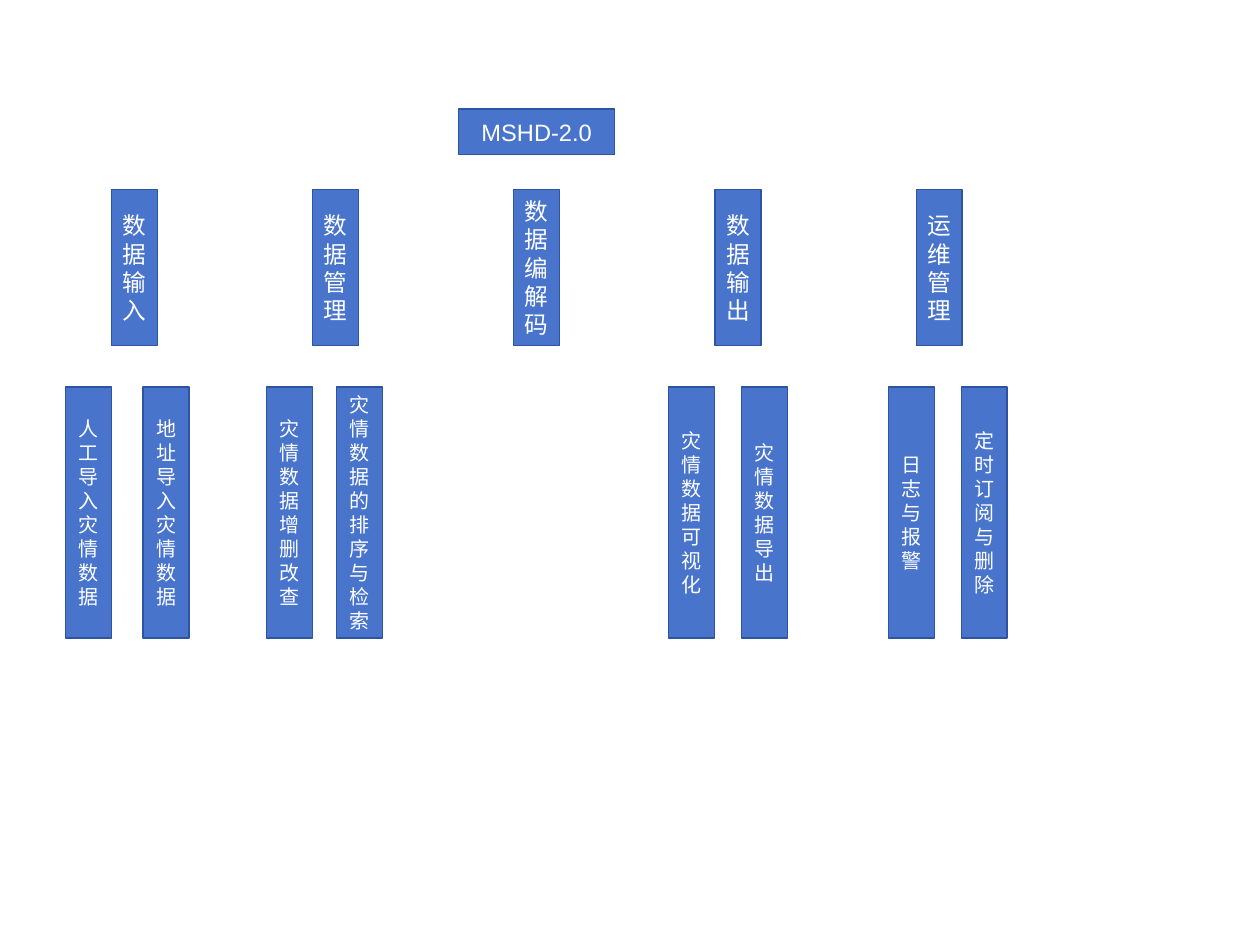
from dataclasses import dataclass

from pptx import Presentation
from pptx.dml.color import RGBColor
from pptx.enum.shapes import MSO_SHAPE
from pptx.enum.text import MSO_ANCHOR, MSO_AUTO_SIZE, PP_ALIGN
from pptx.util import Pt

RECTANGLE = MSO_SHAPE.RECTANGLE
MIDDLE = MSO_ANCHOR.MIDDLE
CENTER = PP_ALIGN.CENTER
NO_AUTOFIT = MSO_AUTO_SIZE.NONE
TITLE_ONLY = 5


@dataclass(frozen=True)
class Theme:
    fill: RGBColor = RGBColor(0x48, 0x74, 0xCB)
    border: RGBColor = RGBColor(0x2E, 0x54, 0xA1)
    text: RGBColor = RGBColor(0xFF, 0xFF, 0xFF)
    font: str = "Arial"
    module_size: float = 18.9
    function_size: float = 16
    border_width: float = 1


THEME = Theme()

# Geometry in points; each row is placed by its centre line
BOX_THICKNESS = 36.7
MODULE_LENGTH, FUNCTION_LENGTH = 124.6, 200.9
SYSTEM_Y, MODULE_Y, FUNCTION_Y = 105.5, 214.2, 410
FIRST_MODULE_X, MODULE_STEP = 107.5, 160.95
SYSTEM_X = FIRST_MODULE_X + 2 * MODULE_STEP

# Each module with its functions and their offsets from the module's centre
MODULES = [
    ("数据输入", [("人工导入灾情数据", -36.6), ("地址导入灾情数据", 25.3)]),
    ("数据管理", [("灾情数据增删改查", -37), ("灾情数据的排序与检索", 19.2)]),
    ("数据编解码", []),
    ("数据输出", [("灾情数据可视化", -37), ("灾情数据导出", 21.3)]),
    ("运维管理", [("日志与报警", -22.3), ("定时订阅与删除", 36)]),
]


def style_box(box, label, size):
    """Fill and outline a box and write its centred label."""
    box.fill.solid()
    box.fill.fore_color.rgb = THEME.fill
    box.line.color.rgb = THEME.border
    box.line.width = Pt(THEME.border_width)

    frame = box.text_frame
    frame.word_wrap = True
    frame.auto_size = NO_AUTOFIT
    frame.vertical_anchor = MIDDLE
    paragraph = frame.paragraphs[0]
    paragraph.alignment = CENTER
    run = paragraph.add_run()
    run.text = label
    run.font.name = THEME.font
    run.font.size = Pt(size)
    run.font.color.rgb = THEME.text


def place_system(slide, label):
    """Turn the title placeholder into the root box."""
    system = slide.shapes.title
    system.left = Pt(SYSTEM_X - MODULE_LENGTH / 2)
    system.top = Pt(SYSTEM_Y - BOX_THICKNESS / 2)
    system.width, system.height = Pt(MODULE_LENGTH), Pt(BOX_THICKNESS)
    style_box(system, label, THEME.module_size)


def add_upright_box(slide, label, center_x, center_y, length, size):
    """Add a box turned on end, with its text turned back upright."""
    box = slide.shapes.add_shape(
        RECTANGLE,
        Pt(center_x - length / 2), Pt(center_y - BOX_THICKNESS / 2),
        Pt(length), Pt(BOX_THICKNESS),
    )
    box.rotation = 90
    box.shadow.inherit = False
    style_box(box, label, size)
    box.element.txBody.bodyPr.set("vert", "vert270")


def main():
    prs = Presentation()
    prs.slide_width, prs.slide_height = Pt(1008), Pt(756)
    slide = prs.slides.add_slide(prs.slide_layouts[TITLE_ONLY])

    # Root of the hierarchy
    place_system(slide, "MSHD-2.0")

    # Modules, each above its functions
    for column, (module, functions) in enumerate(MODULES):
        module_x = FIRST_MODULE_X + column * MODULE_STEP
        add_upright_box(slide, module, module_x, MODULE_Y,
                        MODULE_LENGTH, THEME.module_size)
        for function, offset in functions:
            add_upright_box(slide, function, module_x + offset, FUNCTION_Y,
                            FUNCTION_LENGTH, THEME.function_size)

    prs.save("out.pptx")


if __name__ == "__main__":
    main()
